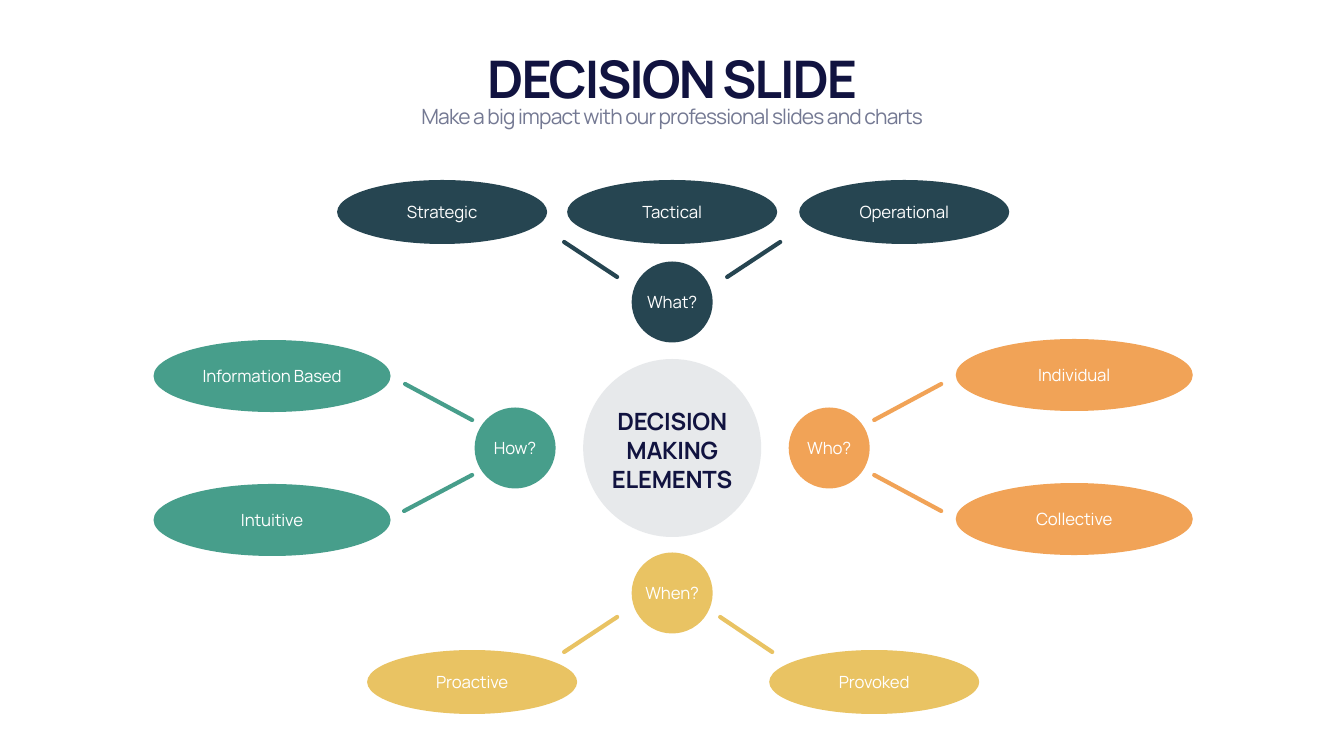
from dataclasses import dataclass

from lxml import etree
from pptx import Presentation, util as u
from pptx.dml.color import RGBColor
from pptx.enum import shapes, text
from pptx.oxml import ns

PIXELS_PER_INCH = 50.4


@dataclass(frozen=True)
class Theme:
    font: str = "Manrope"
    ink: str = "111340"
    muted: str = "747993"
    white: str = "FFFFFF"
    hub: str = "C3C8CE"
    what: str = "264551"
    how: str = "479E8B"
    who: str = "F1A357"
    when: str = "E9C363"
    title_size: int = 74
    subtitle_size: int = 30
    hub_size: int = 34
    label_size: int = 24
    spoke_width: int = 6


def px(length):
    return u.Inches(length / PIXELS_PER_INCH)


class DecisionSlide:
    def __init__(self, deck, theme):
        self.theme = theme
        self.page = deck.slides.add_slide(deck.slide_layouts[0])

    def set_text(self, box, words, size, color, bold=False, spacing=0.0,
                 anchor=text.MSO_ANCHOR.MIDDLE, wrap=True, leading=None, drop=0):
        frame = box.text_frame
        frame.word_wrap = wrap
        frame.auto_size = text.MSO_AUTO_SIZE.NONE
        frame.vertical_anchor = anchor
        frame.margin_left = frame.margin_right = frame.margin_bottom = 0
        frame.margin_top = px(2 * drop)
        para = frame.paragraphs[0]
        para.alignment = text.PP_ALIGN.CENTER
        para.space_before = u.Pt(0)
        para.line_spacing = u.Pt(leading) if leading else 1.0
        span = para.add_run()
        span.text = words
        span.font.name = self.theme.font
        span.font.size = u.Pt(size)
        span.font.bold = bold
        span.font.color.rgb = RGBColor.from_string(color)
        span.font._element.set("spc", str(round(spacing * 100)))

    def heading(self, index, top, height, words, **style):
        box = self.page.placeholders[index]
        box.left, box.top, box.width, box.height = map(px, (84, top, 1176, height))
        self.set_text(box, words, **style)

    def oval(self, center, size, fill, opacity=100):
        (x, y), (width, height) = center, size
        shape = self.page.shapes.add_shape(
            shapes.MSO_SHAPE.OVAL, px(x - width / 2), px(y - height / 2),
            px(width), px(height))
        shape.shadow.inherit = False
        shape.line.fill.background()
        shape.fill.solid()
        shape.fill.fore_color.rgb = RGBColor.from_string(fill)
        if opacity < 100:
            tint = shape._element.spPr.find(".//" + ns.qn("a:srgbClr"))
            etree.SubElement(tint, ns.qn("a:alpha")).set("val", str(opacity * 1000))
        return shape

    def label(self, center, size, fill, words):
        self.set_text(self.oval(center, size, fill), words, self.theme.label_size,
                      self.theme.white, spacing=-0.2, wrap=False)

    def spoke(self, start, end, color):
        line = self.page.shapes.add_connector(
            shapes.MSO_CONNECTOR.STRAIGHT, *map(px, (*start, *end)))
        line.line.color.rgb = RGBColor.from_string(color)
        line.line.width = u.Pt(self.theme.spoke_width)
        line._element.spPr.find(ns.qn("a:ln")).set("cap", "rnd")
        etree.SubElement(line._element.spPr, ns.qn("a:effectLst"))


theme = Theme()
deck = Presentation()
deck.slide_width, deck.slide_height = u.Inches(26.66), u.Inches(15)
slide = DecisionSlide(deck, theme)

# Headings
slide.heading(0, 41, 68, "DECISION SLIDE", size=theme.title_size, color=theme.ink,
              bold=True, spacing=-2.9, anchor=text.MSO_ANCHOR.BOTTOM)
slide.heading(1, 104, 31, "Make a big impact with our professional slides and charts",
              size=theme.subtitle_size, color=theme.muted, spacing=-1.2,
              anchor=text.MSO_ANCHOR.TOP)

# Central hub
hub = slide.oval((672, 448), (178, 178), theme.hub, opacity=40)
slide.set_text(hub, "DECISION MAKING ELEMENTS", theme.hub_size, theme.ink, bold=True,
               spacing=-0.3, leading=41, drop=2)

# Questions: color, center, answer size, answers, spokes
CIRCLE, SMALL, LARGE = (81, 81), (210, 64), (237, 72)
questions = {
    "What?": (theme.what, (672, 302), SMALL,
              {"Strategic": (442, 212), "Tactical": (672, 212), "Operational": (904, 212)},
              [((617, 277), (564, 242)), ((727, 277), (780, 242))]),
    "How?": (theme.how, (515, 448), LARGE,
             {"Information Based": (272, 376), "Intuitive": (272, 520)},
             [((472, 420), (405, 384)), ((472, 475), (404, 511))]),
    "Who?": (theme.who, (829, 448), LARGE,
             {"Individual": (1074, 375), "Collective": (1074, 519)},
             [((874, 420), (941, 384)), ((874, 475), (941, 511))]),
    "When?": (theme.when, (672, 593), SMALL,
              {"Proactive": (472, 682), "Provoked": (874, 682)},
              [((617, 617), (564, 652)), ((720, 617), (772, 652))]),
}
for question, (color, center, size, answers, spokes) in questions.items():
    for answer, spot in answers.items():
        slide.label(spot, size, color, answer)
    slide.label(center, CIRCLE, color, question)
    for start, end in spokes:
        slide.spoke(start, end, color)

deck.save("out.pptx")
